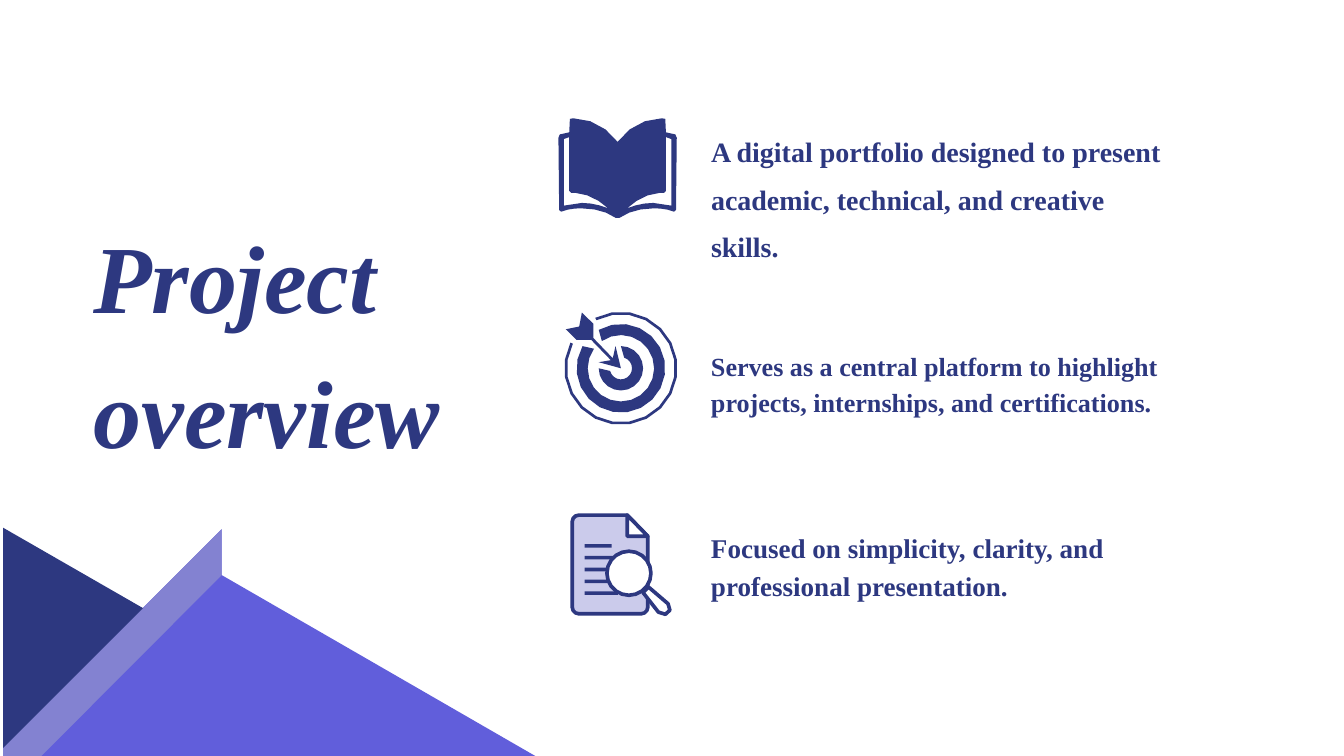
from math import cos, radians, sin
from pptx import Presentation
from pptx.dml.color import RGBColor
from pptx.util import Pt

THEME = {
    "navy": "2D3880", "violet": "615EDB", "lilac": "8382D1",
    "pale": "CBCBEB", "white": "FFFFFF",
    "font": "Times New Roman", "title": 103, "stroke": 3.9,
}

# Content: text, left, top, width, height, size, line spacing
TITLE = ("Project overview", 100, 213, 428.4, 293, THEME["title"], 144)
POINTS = [
    ("A digital portfolio designed to present academic, technical, and creative skills.",
     761.8, 129.3, 497, 102, 30, 51),
    ("Serves as a central platform to highlight projects, internships, and certifications.",
     761.8, 369.7, 579, 80, 28, 39),
    ("Focused on simplicity, clarity, and professional presentation.",
     761.8, 563.8, 571.7, 83, 29, 40.5),
]

# Corner decoration: colour and corners
PEAKS = [
    ("violet", [(573.6, 810), (3.3, 810), (3.3, 801.4), (237.6, 567), (237.6, 616.2)]),
    ("lilac", [(237.6, 567), (237.6, 616.2), (44.4, 810), (3.3, 810), (3.3, 801.4)]),
    ("navy", [(153.3, 651.6), (3.3, 801.4), (3.3, 565.4)]),
]

# Book icon: left half, x counted outwards from the spine.
# Two numbers are a straight step, six are a Bezier curve.
SPINE = 661.7
COVER = [
    (0, 152), (10.8, 136.8, 28.8, 126.7, 47.5, 126.7), (51.1, 127.4),
    (51.8, 141.8), (61.9, 144), (63.4, 147.6), (62.6, 225), (60.5, 226.8),
    (53.3, 223.9, 46.1, 223.2, 38.9, 223.2), (23.8, 223.2, 11.5, 226.8, 2.2, 233.3),
]
PAGE_GAP = [
    (51.8, 146.9), (51.8, 204.5), (49.7, 206.6), (45.4, 206.6),
    (31.7, 207.4, 19.4, 214.6, 10.1, 223.2), (18.7, 219.6, 28.8, 217.4, 38.2, 217.4),
    (57.6, 220.3), (57.6, 149),
]

# Target icon: each ring is two arcs of (radius, start angle, end angle)
TARGET_CENTER = (665.3, 394.6)
RINGS = [
    ((60.7, 243, 567), (57.8, 243, 567)),
    ((47.5, 240, 570), (35.6, 235, 576)),
    ((23.8, 270, 540), (11.9, 287, 526)),
]
ARROW = [
    (623.5, 334.8), (620.6, 349.9), (606.2, 352.8), (617.8, 364.3), (633.6, 364.3),
    (654.5, 385.9), (641.5, 388.1), (665.3, 394.6), (659.5, 370.8), (656.6, 383.8),
    (635.8, 362.2), (635.8, 347),
]

# Document icon
SHEET = [
    (620.3, 551.9), (672.1, 551.9), (694.1, 574.6), (694.1, 650.5),
    (694.1, 654.5, 690.9, 657.7, 686.9, 657.7), (620.3, 657.7),
    (616.3, 657.7, 613.1, 654.5, 613.1, 650.5), (613.1, 559.1),
    (613.1, 555.1, 616.3, 551.9, 620.3, 551.9),
]
FOLD = [(672.1, 551.9), (694.1, 574.6), (672.1, 574.6)]
HANDLE = [
    (694.8, 628.9), (715.8, 646.9), (722.5, 653.5, 713, 663, 705.5, 655.9), (689, 634.9),
]
LENS_CENTER, LENS_RADIUS = (673.9, 614.2), 23.6
ROW_LEFT, ROW_TOP, ROW_GAP, ROW_HEIGHT = 626.4, 583, 12.65, 3.8
ROW_ENDS = [655.3, 662, 662, 662, 662]


def color(name):
    return RGBColor.from_string(THEME[name])


def flatten(steps, pieces=3):
    """Turn straight steps and Bezier curves into a list of points."""
    points = []
    for step in steps:
        if len(step) == 2:
            points.append(step)
            continue
        a, b, c, d = points[-1], step[:2], step[2:4], step[4:]
        for i in range(1, pieces + 1):
            t = i / pieces
            s = 1 - t
            points.append(tuple(
                s**3 * a[k] + 3 * s * s * t * b[k] + 3 * s * t * t * c[k] + t**3 * d[k]
                for k in (0, 1)))
    return points


def arc(center, radius, start, end):
    steps = round((end - start) / 18)
    angles = [radians(start + (end - start) * i / steps) for i in range(steps + 1)]
    return [(center[0] + radius * cos(a), center[1] + radius * sin(a)) for a in angles]


def mirrored(points, side):
    return [(SPINE + side * x, y) for x, y in points]


def bar(left, top, right, height):
    return [(left, top), (right, top), (right, top + height), (left, top + height)]


def add_outline(slide, contours, fill, line=None):
    contours = [[(Pt(x), Pt(y)) for x, y in contour] for contour in contours]
    builder = slide.shapes.build_freeform(*contours[0][0])
    for index, contour in enumerate(contours):
        if index:
            builder.move_to(*contour[0])
        builder.add_line_segments(contour[1:], close=True)
    shape = builder.convert_to_shape()
    shape.shadow.inherit = False
    shape.fill.solid()
    shape.fill.fore_color.rgb = color(fill)
    if line:
        shape.line.color.rgb = color(line)
        shape.line.width = Pt(THEME["stroke"])
    else:
        shape.line.fill.background()


def add_text(slide, text, left, top, width, height, size, spacing, italic=False):
    frame = slide.shapes.add_textbox(Pt(left), Pt(top), Pt(width), Pt(height)).text_frame
    frame.word_wrap = True
    frame.margin_left = frame.margin_right = frame.margin_top = frame.margin_bottom = 0
    paragraph = frame.paragraphs[0]
    paragraph.line_spacing = Pt(spacing)
    run = paragraph.add_run()
    run.text = text
    run.font.name = THEME["font"]
    run.font.size = Pt(size)
    run.font.bold = True
    run.font.italic = italic
    run.font.color.rgb = color("navy")


def main():
    presentation = Presentation()
    presentation.slide_width, presentation.slide_height = Pt(1440), Pt(810)
    slide = presentation.slides.add_slide(presentation.slide_layouts[6])

    # Corner decoration
    for fill, corners in PEAKS:
        add_outline(slide, [corners], fill)

    # Book
    half, gap = flatten(COVER), flatten(PAGE_GAP)
    cover = mirrored(half, -1) + mirrored(half, 1)[::-1]
    add_outline(slide, [cover, mirrored(gap, -1), mirrored(gap, 1)], "navy")

    # Target
    rings = [arc(TARGET_CENTER, *outer) + arc(TARGET_CENTER, *inner)[::-1]
             for outer, inner in RINGS]
    add_outline(slide, [ARROW] + rings, "navy")

    # Document, its rows, then fold and magnifier on top
    add_outline(slide, [flatten(SHEET)], "pale", "navy")
    rows = [bar(ROW_LEFT, ROW_TOP + index * ROW_GAP, end, ROW_HEIGHT)
            for index, end in enumerate(ROW_ENDS)]
    add_outline(slide, rows, "navy")
    lens = arc(LENS_CENTER, LENS_RADIUS, 0, 360)
    add_outline(slide, [FOLD, flatten(HANDLE), lens], "white", "navy")

    # Title and points
    add_text(slide, *TITLE, italic=True)
    for point in POINTS:
        add_text(slide, *point)

    presentation.save("out.pptx")


if __name__ == "__main__":
    main()
